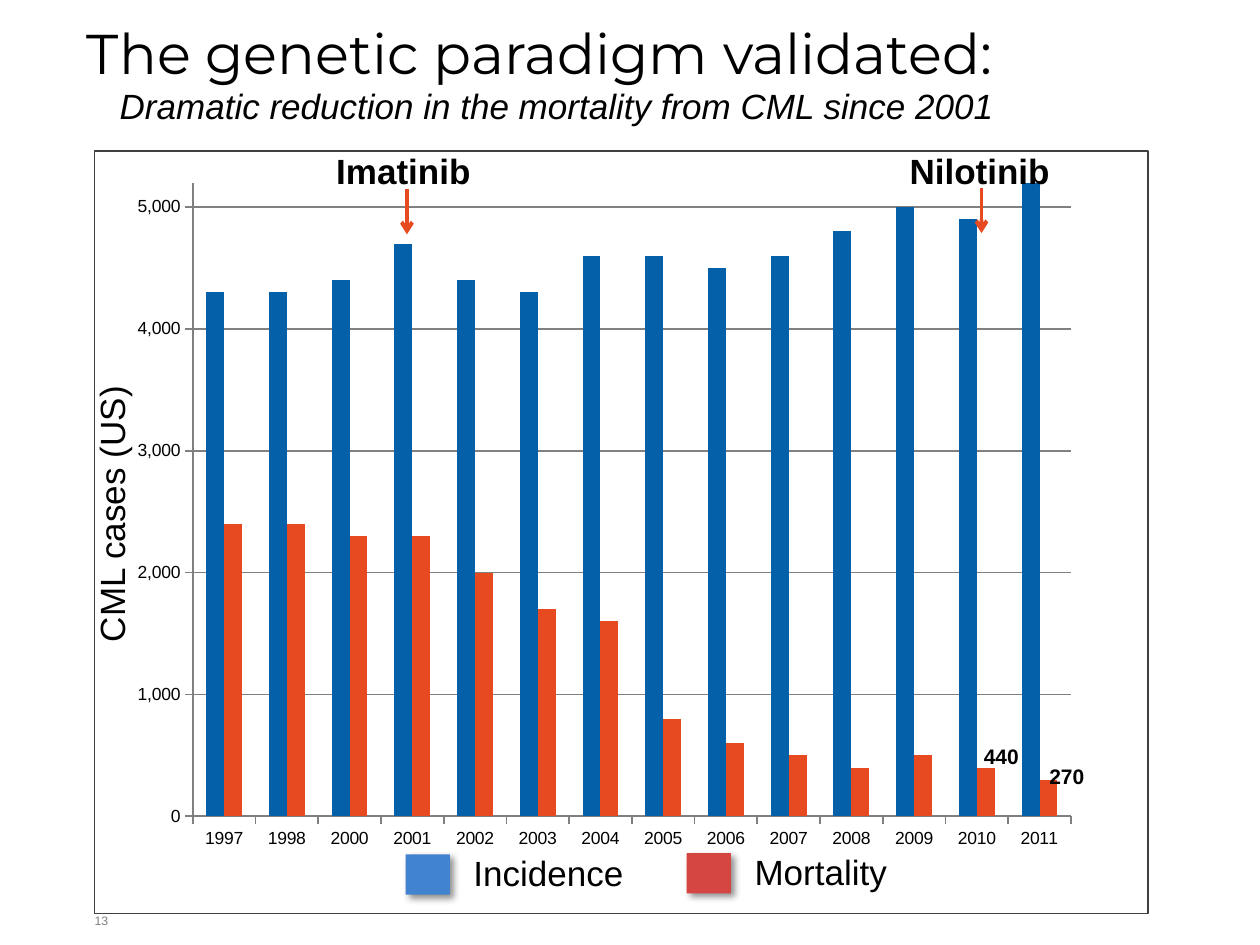
from lxml import etree
from pptx import Presentation
from pptx.chart.data import CategoryChartData
from pptx.dml.color import RGBColor
from pptx.enum.chart import XL_CHART_TYPE, XL_TICK_MARK
from pptx.enum.shapes import MSO_CONNECTOR, MSO_SHAPE
from pptx.enum.text import MSO_ANCHOR, PP_ALIGN
from pptx.oxml import parse_xml
from pptx.oxml.ns import nsdecls, qn
from pptx.util import Emu, Pt

PX = 9144  # 100 px to the inch
COLUMNS = XL_CHART_TYPE.COLUMN_CLUSTERED
OUTSIDE = XL_TICK_MARK.OUTSIDE
STRAIGHT = MSO_CONNECTOR.STRAIGHT
RECTANGLE = MSO_SHAPE.RECTANGLE
MIDDLE = MSO_ANCHOR.MIDDLE
LEFT = PP_ALIGN.LEFT

BLACK, GRAY, BLUE, ORANGE = "000000", "808080", "0460A9", "E74A21"
YEARS = [str(year) for year in (1997, 1998, *range(2000, 2012))]
INCIDENCE = [4300, 4300, 4400, 4700, 4400, 4300, 4600,
             4600, 4500, 4600, 4800, 5000, 4900, 5200]
MORTALITY = [2400, 2400, 2300, 2300, 2000, 1700, 1600,
             800, 600, 500, 400, 500, 400, 300]


def px(*lengths):
    return [Emu(length * PX) for length in lengths]


def color(value):
    return RGBColor.from_string(value)


class SlideBuilder:
    def __init__(self, page, font="Arial"):
        self.page = page
        self.font = font

    def format_font(self, font, size, fill=BLACK, bold=False, italic=False, name=None):
        font.name = name or self.font
        font.size = Pt(size)
        font.bold = bold
        font.italic = italic
        font.color.rgb = color(fill)

    def title(self, heading, subtitle, at):
        box = self.page.shapes.title
        box.left, box.top, box.width, box.height = px(*at)
        frame = box.text_frame
        frame.margin_left, frame.margin_right = px(5, 5)
        frame.margin_top = frame.margin_bottom = 0
        frame.vertical_anchor = MIDDLE
        frame.text = f"{heading}\n{subtitle}"
        for para in frame.paragraphs:
            para.alignment = LEFT
            para.line_spacing = 0.85
        first, second = frame.paragraphs
        self.format_font(first.runs[0].font, 32, name="Montserrat")
        self.format_font(second.runs[0].font, 20, italic=True)
        second.space_before = Pt(3)
        indent = second._p.get_or_add_pPr()
        indent.set("marL", str(26 * PX))
        indent.set("indent", "0")

    def text(self, words, at, size, fill=BLACK, bold=False, rotation=0, inset=True):
        box = self.page.shapes.add_textbox(*px(*at))
        box.rotation = rotation
        frame = box.text_frame
        frame.word_wrap = False
        if not inset:
            frame.margin_left = frame.margin_right = 0
            frame.margin_top = frame.margin_bottom = 0
        frame.text = words
        self.format_font(frame.paragraphs[0].runs[0].font, size, fill, bold)

    def rectangle(self, at, fill, line=None):
        box = self.page.shapes.add_shape(RECTANGLE, *px(*at))
        box.shadow.inherit = False
        box.fill.solid()
        box.fill.fore_color.rgb = color(fill)
        if line:
            box.line.color.rgb = color(line)
            box.line.width = Pt(1)
        else:
            box.line.fill.background()
        return box

    def swatch(self, at, fill):
        """Add a legend square with a soft shadow to the lower right."""
        box = self.rectangle(at, fill)
        effects = box._element.spPr.find(qn("a:effectLst"))
        effects.append(parse_xml(
            f'<a:outerShdw {nsdecls("a")} blurRad="{Pt(4)}" dist="{Pt(3)}" '
            'dir="2700000" rotWithShape="0"><a:srgbClr val="000000">'
            '<a:alpha val="43000"/></a:srgbClr></a:outerShdw>'))

    def down_arrow(self, x, top, length, fill):
        arrow = self.page.shapes.add_connector(STRAIGHT, *px(x, top, x, top + length))
        arrow.line.color.rgb = color(fill)
        arrow.line.width = Pt(2.25)
        etree.SubElement(arrow.line._get_or_add_ln(), qn("a:tailEnd"), type="arrow")
        etree.SubElement(arrow._element.spPr, qn("a:effectLst"))

    def column_chart(self, categories, series, at, plot):
        """Add clustered columns; series holds (name, values, colour), plot is in slide px."""
        data = CategoryChartData(number_format="#,##0")
        data.categories = categories
        for name, values, _ in series:
            data.add_series(name, values)
        chart = self.page.shapes.add_chart(COLUMNS, *px(*at), data).chart
        chart.has_legend = False
        chart.has_title = False
        self.format_font(chart.font, 10)
        columns = chart.plots[0]
        columns.gap_width = 150
        columns.overlap = 0
        columns.vary_by_categories = False
        for column, (_, _, fill) in zip(columns.series, series):
            column.format.fill.solid()
            column.format.fill.fore_color.rgb = color(fill)
        values = chart.value_axis
        values.minimum_scale, values.maximum_scale, values.major_unit = 0, 5200, 1000
        values.tick_labels.number_format = "#,##0"
        values.tick_labels.number_format_is_linked = False
        values.has_major_gridlines = True
        for axis in (chart.category_axis, values):
            axis.major_tick_mark = OUTSIDE
        for part in (chart.category_axis, values, values.major_gridlines):
            part.format.line.color.rgb = color(GRAY)
            part.format.line.width = Pt(1)
        self.place_plot(chart, at, plot)

    def place_plot(self, chart, at, plot):
        """Fix the inner plot area, as shares of the chart frame."""
        left, top, width, height = at
        x, y, w, h = plot
        shares = ((x - left) / width, (y - top) / height, w / width, h / height)
        area = chart._chartSpace.chart.plotArea
        for old in area.findall(qn("c:layout")):
            area.remove(old)
        sizes = "".join(f'<c:{tag} val="{share}"/>' for tag, share in zip("xywh", shares))
        area.insert(0, parse_xml(
            f'<c:layout {nsdecls("c")}><c:manualLayout><c:layoutTarget val="inner"/>'
            f'<c:xMode val="edge"/><c:yMode val="edge"/>{sizes}'
            '</c:manualLayout></c:layout>'))


def main():
    deck = Presentation()
    deck.slide_width, deck.slide_height = px(1000, 750)
    slide = SlideBuilder(deck.slides.add_slide(deck.slide_layouts[5]))

    slide.rectangle((75, 120, 836, 605), "FFFFFF", line="404040")
    slide.title("The genetic paradigm validated:",
                "Dramatic reduction in the mortality from CML since 2001",
                (64, 19, 968, 85))
    slide.text("CML cases (US)", (-24, 385, 225, 44), 20, rotation=270)

    for name, left, top, width, fill in (("Incidence", 322, 678, 140, "4283CF"),
                                         ("Mortality", 545, 677, 127, "D54642")):
        slide.swatch((left, top, 35, 32), fill)
        slide.text(name, (left + 44, top - 7, width, 44), 20)

    slide.column_chart(YEARS,
                       [("Incidence", INCIDENCE, BLUE), ("Mortality", MORTALITY, ORANGE)],
                       (94, 135, 771, 550), (153, 145, 697, 503))

    for drug, left, width, arrow_x, arrow_top in (("Imatinib", 257, 135, 323, 150),
                                                  ("Nilotinib", 712, 132, 779, 149)):
        slide.text(drug, (left, 114, width, 44), 20, bold=True)
        slide.down_arrow(arrow_x, arrow_top, 36, ORANGE)
    for deaths, left, top in (("440", 771, 585), ("270", 823, 601)):
        slide.text(deaths, (left, top, 50, 30), 12, bold=True)
    slide.text("13", (75, 725, 25, 25), 7, "7F7F7F", inset=False)

    deck.save("out.pptx")


if __name__ == "__main__":
    main()
